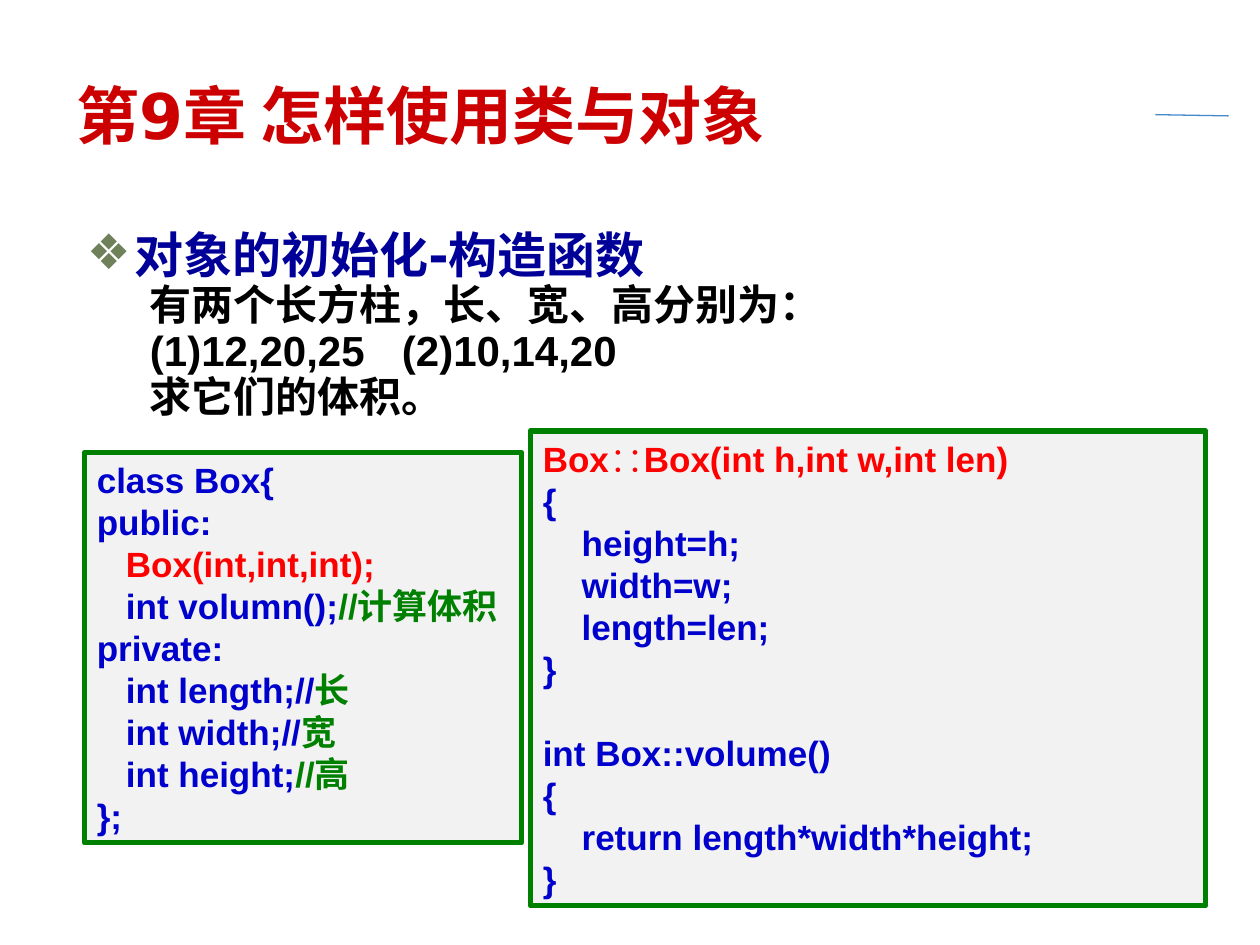
from lxml import etree
from pptx import Presentation
from pptx import util as u
from pptx.dml.color import RGBColor
from pptx.enum import shapes, text
from pptx.oxml.ns import qn

HUES = {"title": "CC0000", "head": "000099", "body": "000000",
        "mark": "6E815B", "code": "0000CC", "new": "FF0000",
        "note": "008000", "panel": "F2F2F2", "rule": "438ACB"}

CLASS = [
    [("class Box{", "code")],
    [("public:", "code")],
    [("   Box(int,int,int);", "new")],
    [("   int volumn();", "code"), ("//计算体积", "note")],
    [("private:", "code")],
    [("   int length;//", "code"), ("长", "note")],
    [("   int width;//", "code"), ("宽", "note")],
    [("   int height;", "code"), ("//高", "note")],
    [("};", "code")],
]
METHODS = [[("Box∷Box(int h,int w,int len)", "new")]] + [
    [(line, "code")] for line in (
        "{", "    height=h;", "    width=w;", "    length=len;", "}", "",
        "int Box::volume()", "{", "    return length*width*height;", "}")]


def hue(name):
    return RGBColor.from_string(HUES[name])


def place(shape, box):
    shape.left, shape.top, shape.width, shape.height = map(u.Inches, box)


def write(para, words, size=20, font="Arial", color="body"):
    """Add one bold run, or only set the size of an empty line."""
    para.alignment = text.PP_ALIGN.LEFT
    if not words:
        para.font.size = u.Pt(size)
        return
    run = para.add_run()
    run.text = words
    run.font.size, run.font.name, run.font.bold = u.Pt(size), font, True
    run.font.color.rgb = hue(color)


def indent(para, left, first, mark=None, tab=None):
    """Set the margins, bullet and tab stop of a paragraph."""
    props = para._p.get_or_add_pPr()
    props.set("marL", str(u.Inches(left)))
    props.set("indent", str(u.Inches(first)))
    if mark:
        color = etree.SubElement(props, qn("a:buClr"))
        etree.SubElement(color, qn("a:srgbClr"), val=HUES["mark"])
        etree.SubElement(props, qn("a:buChar"), char=mark)
    else:
        etree.SubElement(props, qn("a:buNone"))
    if tab:
        stops = etree.SubElement(props, qn("a:tabLst"))
        etree.SubElement(stops, qn("a:tab"), pos=str(u.Inches(tab)), algn="l")


def add_title(slide, box):
    title = slide.shapes.title
    place(title, box)
    frame = title.text_frame
    frame.auto_size = text.MSO_AUTO_SIZE.NONE
    frame.vertical_anchor = text.MSO_ANCHOR.MIDDLE
    write(frame.paragraphs[0], "第9章 怎样使用类与对象", size=36,
          font="DejaVu Sans", color="title")


def add_task(slide, box):
    body = slide.placeholders[1]
    place(body, box)
    frame = body.text_frame
    frame.auto_size = text.MSO_AUTO_SIZE.NONE
    head = frame.paragraphs[0]
    indent(head, 0.38, -0.38, mark="❖")
    head.line_spacing, head.space_before = 0.7, u.Pt(0)
    write(head, "对象的初始化-构造函数", size=28, font="DejaVu Sans",
          color="head")
    for line in ("有两个长方柱，长、宽、高分别为：",
                 "(1)12,20,25\t(2)10,14,20", "求它们的体积。"):
        para = frame.add_paragraph()
        para.level = 1
        indent(para, 0.5, 0, tab=2.48)
        para.line_spacing, para.space_before = 0.7, u.Pt(6)
        write(para, line, size=24)


def add_code(slide, box, lines):
    panel = slide.shapes.add_shape(shapes.MSO_SHAPE.RECTANGLE,
                                   *map(u.Inches, box))
    panel.shadow.inherit = False
    panel.fill.solid()
    panel.fill.fore_color.rgb = hue("panel")
    panel.line.color.rgb = hue("note")
    panel.line.width = u.Pt(3)
    frame = panel.text_frame
    frame.word_wrap = True
    frame.auto_size = text.MSO_AUTO_SIZE.SHAPE_TO_FIT_TEXT
    frame.vertical_anchor = text.MSO_ANCHOR.TOP
    for row, parts in enumerate(lines):
        para = frame.add_paragraph() if row else frame.paragraphs[0]
        for words, color in parts:
            write(para, words, color=color)


def add_rule(slide, start, end):
    rule = slide.shapes.add_connector(shapes.MSO_CONNECTOR.STRAIGHT,
                                      *map(u.Inches, start + end))
    rule.line.color.rgb = hue("rule")
    rule.line.width = u.Pt(0.75)
    etree.SubElement(rule._element.spPr, qn("a:effectLst"))


def main():
    deck = Presentation()
    deck.slide_width, deck.slide_height = u.Inches(10), u.Inches(7.5)
    slide = deck.slides.add_slide(deck.slide_layouts[1])
    add_rule(slide, (9.17, 0.91), (9.75, 0.92))
    add_title(slide, (0.51, 0.6, 8.49, 0.62))
    add_task(slide, (0.59, 1.86, 9.25, 1.58))
    add_code(slide, (0.67, 3.59, 3.47, 3.1), CLASS)
    add_code(slide, (4.21, 3.42, 5.36, 3.77), METHODS)
    deck.save("out.pptx")


if __name__ == "__main__":
    main()
